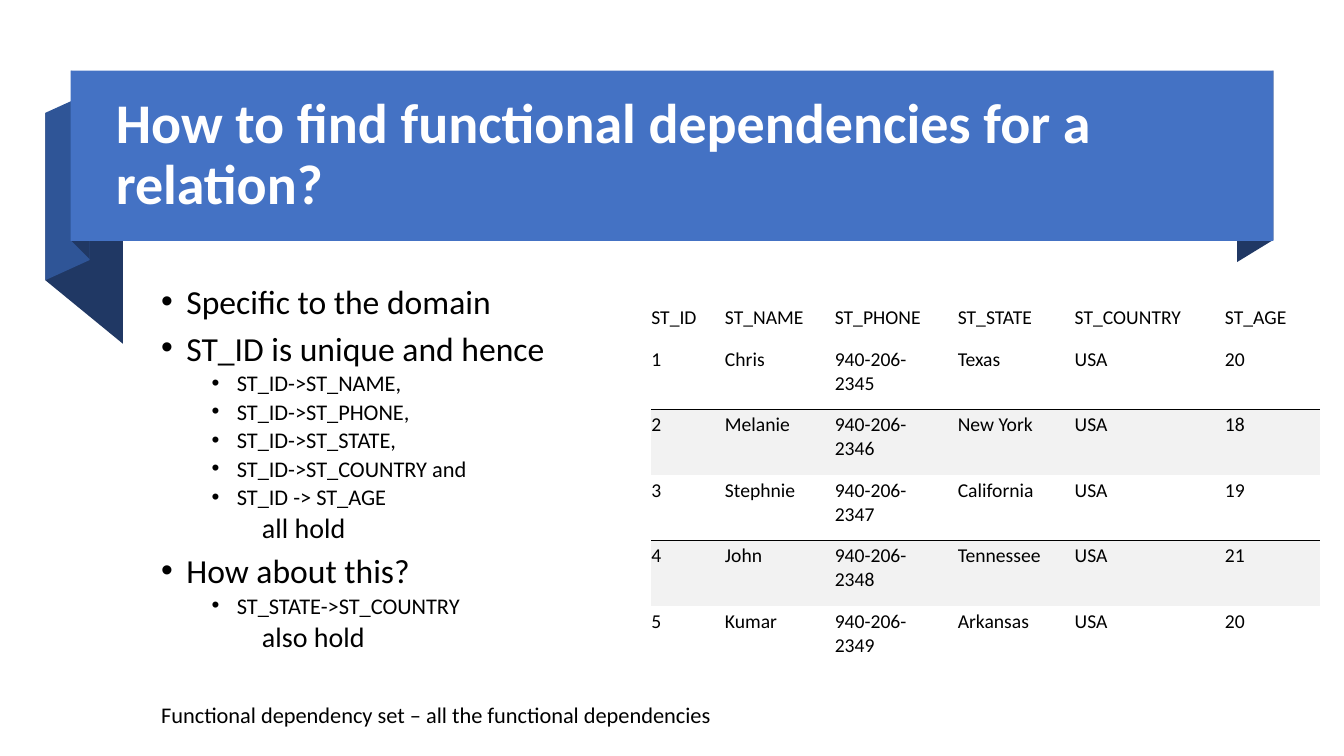
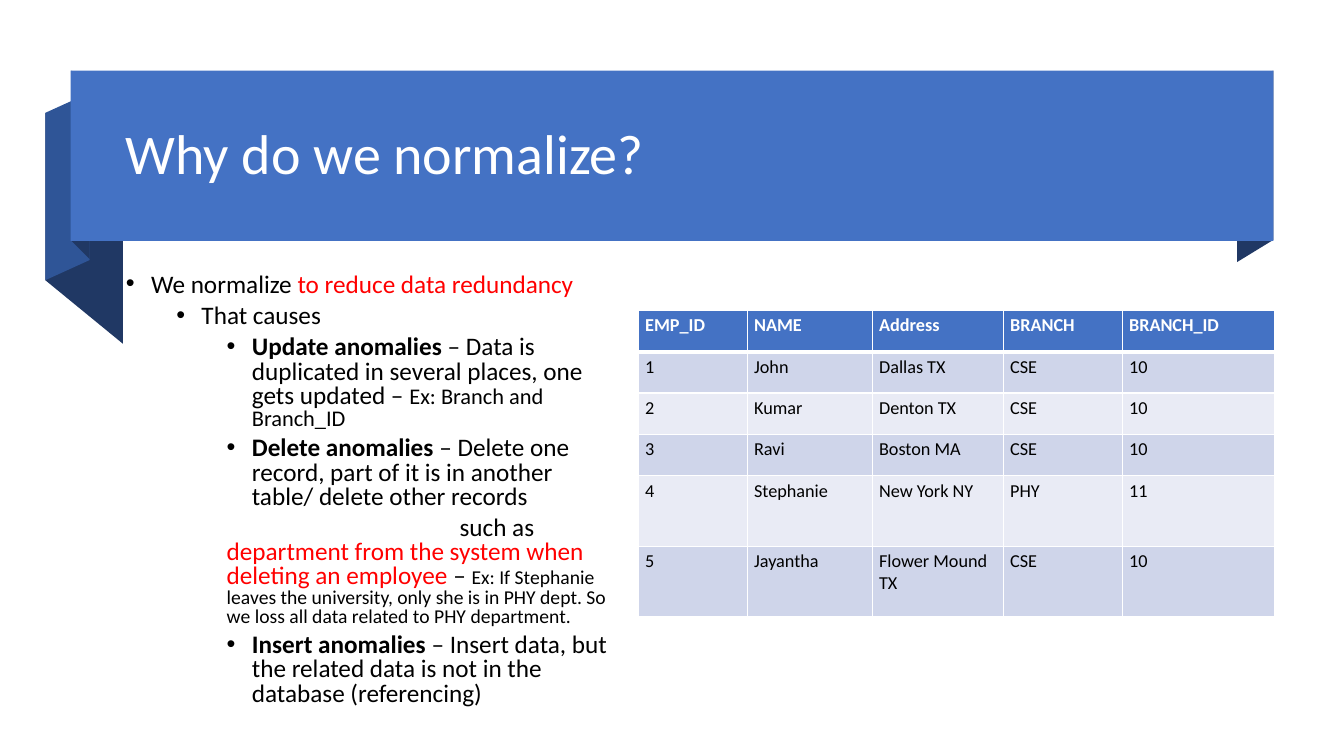
"""Builds two slides on functional dependencies and normalization."""
from lxml import etree
from pptx import Presentation
from pptx.dml.color import RGBColor
from pptx.enum.shapes import MSO_SHAPE
from pptx.enum.text import MSO_ANCHOR
from pptx.oxml.ns import qn
from pptx.util import Pt

PX = 9144
FONT = "Calibri"
RECTANGLE = MSO_SHAPE.RECTANGLE
TOP, MIDDLE, BOTTOM = MSO_ANCHOR.TOP, MSO_ANCHOR.MIDDLE, MSO_ANCHOR.BOTTOM

BLACK = RGBColor(0x00, 0x00, 0x00)
WHITE = RGBColor(0xFF, 0xFF, 0xFF)
RED = RGBColor(0xFF, 0x00, 0x00)
BLUE = RGBColor(0x44, 0x72, 0xC4)
MID_BLUE = RGBColor(0x2F, 0x55, 0x97)
NAVY = RGBColor(0x20, 0x38, 0x64)
GRAY = RGBColor(0xF2, 0xF2, 0xF2)
BAND_DARK = RGBColor(0xCF, 0xD5, 0xEA)
BAND_LIGHT = RGBColor(0xE9, 0xEB, 0xF5)

RIBBON_FOLDS = [
    (NAVY, [(122, 341), (45, 278), (45, 112), (122, 175)]),
    (MID_BLUE, [(89, 258), (45, 278), (45, 112), (89, 92)]),
    (NAVY, [(89, 257), (71, 239), (71, 70), (89, 89)]),
    (NAVY, [(1263, 238), (1227, 260), (1227, 91), (1263, 70)]),
]

POINT = dict(level=0, left=25, hang=-25, before=10)
SUB = dict(level=1, left=75, hang=-25, before=5)
DETAIL = dict(level=2, left=125, hang=-25, before=5)
PLAIN = dict(level=2, left=100, hang=0, before=5)
LATE_START = dict(level=2, left=100, hang=231, before=5)


class Deck:
    """Holds the shared style and the current slide."""

    def __init__(self):
        self.presentation = Presentation()
        self.presentation.slide_width = 1333 * PX
        self.presentation.slide_height = 750 * PX

    def new_slide(self):
        layout = self.presentation.slide_layouts[6]
        self.shapes = self.presentation.slides.add_slide(layout).shapes
        for color, corners in RIBBON_FOLDS:
            outline = self.shapes.build_freeform(*corners[0], scale=PX)
            outline.add_line_segments(corners[1:], close=True)
            self.paint(outline.convert_to_shape(), color)
        band = self.shapes.add_shape(RECTANGLE, *self.emu(70, 70, 1193, 169))
        self.paint(band, BLUE)

    def emu(self, *lengths):
        return [length * PX for length in lengths]

    def paint(self, shape, color):
        shape.shadow.inherit = False
        shape.fill.solid()
        shape.fill.fore_color.rgb = color
        shape.line.fill.background()

    def style(self, font, size=None, color=None, bold=None):
        if size:
            font.size = Pt(size)
        if color is not None:
            font.color.rgb = color
        if bold is not None:
            font.bold = bold

    def base_font(self, paragraph, size, color, bold=False):
        paragraph.font.name = FONT
        self.style(paragraph.font, size, color, bold)

    def frame(self, place, anchor):
        frame = self.shapes.add_textbox(*self.emu(*place)).text_frame
        frame.word_wrap = True
        frame.vertical_anchor = anchor
        return frame

    def text(self, place, words, size, color=BLACK, bold=False, anchor=TOP, spacing=1.0):
        paragraph = self.frame(place, anchor).paragraphs[0]
        paragraph.text = words
        paragraph.line_spacing = spacing
        self.base_font(paragraph, size, color, bold)

    def title(self, place, words, bold=False):
        self.text(place, words, 40, WHITE, bold, MIDDLE, 0.9)

    def outline(self, place, items, anchor=TOP):
        frame = self.frame(place, anchor)
        for index, (kind, size, *runs) in enumerate(items):
            paragraph = frame.add_paragraph() if index else frame.paragraphs[0]
            paragraph.level = kind["level"]
            paragraph.line_spacing = 0.8
            paragraph.space_before = Pt(kind["before"])
            self.indent(paragraph, kind)
            self.base_font(paragraph, size, BLACK)
            for words, changes in runs:
                run = paragraph.add_run()
                run.text = words
                self.style(run.font, **changes)

    def indent(self, paragraph, kind):
        properties = paragraph._p.get_or_add_pPr()
        properties.set("marL", str(kind["left"] * PX))
        properties.set("indent", str(kind["hang"] * PX))
        if kind["hang"] < 0:
            etree.SubElement(properties, qn("a:buFont"), typeface="Arial")
            etree.SubElement(properties, qn("a:buChar"), char="•")
        else:
            etree.SubElement(properties, qn("a:buNone"))

    def table(self, left, top, widths, heights, rows, size, row_style):
        place = self.emu(left, top, sum(widths), sum(heights))
        grid = self.shapes.add_table(len(rows), len(widths), *place).table
        for column, width in zip(grid.columns, widths):
            column.width = width * PX
        for number, (row, height, values) in enumerate(zip(grid.rows, heights, rows)):
            row.height = height * PX
            look = row_style(number)
            for cell, value in zip(row.cells, values):
                self.cell(cell, value, size, **look)

    def cell(self, cell, value, size, fill, insets, borders,
             color=BLACK, bold=False, anchor=TOP):
        cell.text = value
        cell.vertical_anchor = anchor
        (cell.margin_left, cell.margin_top,
         cell.margin_right, cell.margin_bottom) = self.emu(*insets)
        self.base_font(cell.text_frame.paragraphs[0], size, color, bold)
        for side in "LRTB":
            self.border(cell, side, *borders.get(side, (None, 0)))
        if fill is None:
            cell.fill.background()
        else:
            cell.fill.solid()
            cell.fill.fore_color.rgb = fill

    def border(self, cell, side, color, width):
        properties = cell._tc.get_or_add_tcPr()
        edge = etree.SubElement(properties, qn("a:ln" + side), w=str(Pt(width)))
        if color is None:
            etree.SubElement(edge, qn("a:noFill"))
        else:
            solid = etree.SubElement(edge, qn("a:solidFill"))
            etree.SubElement(solid, qn("a:srgbClr"), val=str(color))


def student_row(number):
    if number == 0:
        return dict(fill=None, insets=(0, 3, 14, 14), borders={}, anchor=BOTTOM)
    shaded = number % 2 == 0
    rule = (BLACK, 0.75)
    borders = {"T": rule} if shaded else {"B": rule} if number < 5 else {}
    return dict(fill=GRAY if shaded else None, insets=(0, 4, 14, 14), borders=borders)


def employee_row(number):
    borders = dict.fromkeys("LRTB", (WHITE, 1))
    look = dict(insets=(7, 4, 7, 4), borders=borders)
    if number == 0:
        borders["B"] = (WHITE, 3)
        return dict(look, fill=BLUE, color=WHITE, bold=True)
    if number == 1:
        borders["T"] = (WHITE, 3)
    return dict(look, fill=BAND_DARK if number % 2 else BAND_LIGHT)


def dependencies_slide(deck):
    deck.new_slide()
    deck.title((105, 88, 1123, 133),
               "How to find functional dependencies for a relation?", bold=True)
    lines = [
        (POINT, 24, "Specific to the domain"),
        (POINT, 24, "ST_ID is unique and hence"),
        (SUB, 16, "ST_ID->ST_NAME,"),
        (SUB, 16, "ST_ID->ST_PHONE,"),
        (SUB, 16, "ST_ID->ST_STATE,"),
        (SUB, 16, "ST_ID->ST_COUNTRY and"),
        (SUB, 16, "ST_ID -> ST_AGE"),
        (PLAIN, 20, "all hold"),
        (POINT, 24, "How about this?"),
        (SUB, 16, "ST_STATE->ST_COUNTRY"),
        (PLAIN, 20, "also hold"),
    ]
    deck.outline((150, 272, 1062, 390),
                 [(kind, size, (words, {})) for kind, size, words in lines], MIDDLE)
    students = [
        ("ST_ID", "ST_NAME", "ST_PHONE", "ST_STATE", "ST_COUNTRY", "ST_AGE"),
        ("1", "Chris", "940-206-2345", "Texas", "USA", "20"),
        ("2", "Melanie", "940-206-2346", "New York", "USA", "18"),
        ("3", "Stephnie", "940-206-2347", "California", "USA", "19"),
        ("4", "John", "940-206-2348", "Tennessee", "USA", "21"),
        ("5", "Kumar", "940-206-2349", "Arkansas", "USA", "20"),
    ]
    deck.table(646, 272, [73, 109, 122, 116, 149, 94], [69] + [65] * 5,
               students, 14, student_row)
    deck.text((150, 691, 600, 37),
              "Functional dependency set – all the functional dependencies", 16)


def normalize_slide(deck):
    deck.new_slide()
    deck.title((115, 83, 1127, 145), "Why do we normalize?")
    strong, alert = dict(bold=True), dict(color=RED)
    deck.outline((115, 267, 499, 470), [
        (POINT, 18, ("We normalize ", {}), ("to reduce data redundancy", alert)),
        (SUB, 18, ("That causes", {})),
        (DETAIL, 18, ("Update anomalies ", strong),
         ("– Data is duplicated in several places, one gets updated – ", {}),
         ("Ex: Branch and Branch_ID", dict(size=16))),
        (DETAIL, 18, ("Delete anomalies ", strong),
         ("– Delete one record, part of it is in another table/ delete other records", {})),
        (LATE_START, 18, ("such as ", {}),
         ("department from the system when deleting an employee ", alert), ("– ", {}),
         ("Ex: If Stephanie leaves the university, only she is in PHY dept. "
          "So we loss all data related to PHY department.", dict(size=14))),
        (DETAIL, 18, ("Insert anomalies ", strong),
         ("– Insert data, but the related data is not in the database (referencing)", {})),
    ])
    employees = [
        ("EMP_ID", "NAME", "Address", "BRANCH", "BRANCH_ID"),
        ("1", "John", "Dallas TX", "CSE", "10"),
        ("2", "Kumar", "Denton TX", "CSE", "10"),
        ("3", "Ravi", "Boston MA", "CSE", "10"),
        ("4", "Stephanie", "New York NY", "PHY", "11"),
        ("5", "Jayantha", "Flower Mound TX", "CSE", "10"),
    ]
    deck.table(633, 308, [108, 124, 130, 118, 151], [41] * 4 + [70] * 2,
               employees, 13, employee_row)


def main():
    deck = Deck()
    dependencies_slide(deck)
    normalize_slide(deck)
    deck.presentation.save("out.pptx")


if __name__ == "__main__":
    main()
